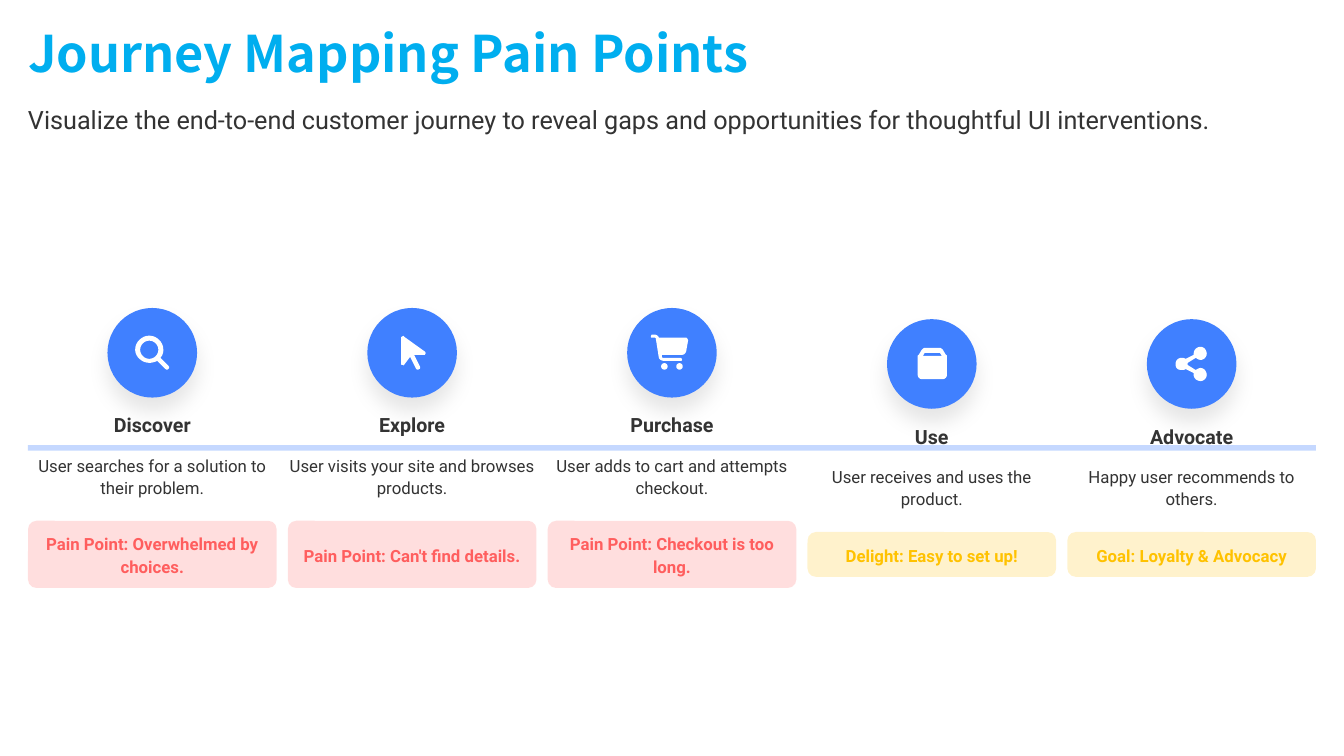
from dataclasses import dataclass

from lxml.etree import SubElement
from pptx import Presentation
from pptx.dml.color import RGBColor
from pptx.enum.shapes import MSO_SHAPE
from pptx.enum.text import MSO_ANCHOR, MSO_AUTO_SIZE, PP_ALIGN
from pptx.oxml.ns import qn
from pptx.util import Emu, Inches, Pt

WIDTH, HEIGHT = Inches(40 / 3), Inches(7.5)
CELL = WIDTH / 120
DOT = Inches(0.01)
MARGIN, BAND, GAP, STAGES = 2.5, 115, 1, 5
COLUMN = (BAND - GAP * (STAGES - 1)) / STAGES
CIRCLE = 8
BLUE, INK, RED, AMBER, WHITE = "4080FF", "333333", "FF5E5E", "FFC200", "FFFFFF"


@dataclass
class TextStyle:
    size: float
    color: str
    spacing: float
    bold: bool = False
    align: PP_ALIGN = PP_ALIGN.CENTER
    font: str = "Roboto"


@dataclass
class Stage:
    name: str
    detail: str
    note: str
    color: str
    icon: list[str]
    drop: float = 0
    note_rows: float = 6


def disc(x: float, y: float, r: float) -> str:
    k = 0.55 * r
    return (f"{x} {y - r} | {x + k} {y - r} {x + r} {y - k} {x + r} {y}"
            f" | {x + r} {y + k} {x + k} {y + r} {x} {y + r}"
            f" | {x - k} {y + r} {x - r} {y + k} {x - r} {y}"
            f" | {x - r} {y - k} {x - k} {y - r} {x} {y - r}")


MAGNIFIER = [
    "11 -3 | 11 0 10 3 8 5 | 16 13 | 17 14 17 15 16 16 | 15 17 14 17 13 16 | 5 8"
    " | 3 9 0 10 -3 10 | -10 10 -17 4 -17 -3 | -17 -11 -10 -17 -3 -17 | 4 -17 11 -11 11 -3",
    disc(-3, -3, 9),
]
POINTER = [
    "-10 -16 | -9 -17 -8 -17 -8 -16 | 13 -1 | 13 0 14 0 13 1 | 13 2 13 2 12 2 | 2 2 | 8 14"
    " | 8 15 8 16 7 16 | 6 17 5 17 4 16 | -2 4 | -8 12 | -8 12 -9 13 -9 12"
    " | -10 12 -11 12 -11 11 | -11 -15 | -11 -16 -10 -16 -10 -16",
]
CART = [
    "-20 -18 | -20 -18 -21 -17 -21 -16 | -21 -15 -20 -15 -20 -15 | -17 -15"
    " | -16 -15 -16 -14 -16 -14 | -13 5 | -12 7 -10 8 -8 8 | 9 8 | 9 8 10 8 10 7"
    " | 10 6 9 5 9 5 | -8 5 | -9 5 -10 5 -10 4 | -10 2 | 10 2 | 12 2 13 1 14 -1 | 16 -12"
    " | 16 -13 15 -15 14 -15 | -13 -15 | -13 -16 -15 -18 -17 -18",
    disc(-7.5, 13.5, 3.2),
    disc(7.5, 13.5, 3.2),
]
BOX = [
    "10 -8 | 8 -11 | -7 -11 | -9 -8",
    "-14 -7 | -14 -8 -14 -9 -13 -9 | -10 -14 | -9 -15 -8 -16 -7 -16 | 8 -16"
    " | 9 -16 10 -15 11 -14 | 14 -9 | 15 -9 15 -8 15 -7 | 15 11 | 15 13 13 15 11 15"
    " | -10 15 | -12 15 -14 13 -14 11",
]
SHARE = [
    "9 -4 | 12 -4 15 -7 15 -10 | 15 -14 12 -17 9 -17 | 5 -17 2 -14 2 -10"
    " | 2 -10 2 -10 2 -9 | -6 -5 | -7 -6 -9 -6 -10 -6 | -14 -6 -16 -3 -16 0"
    " | -16 4 -14 6 -10 6 | -9 6 -7 6 -6 5 | 2 9 | 2 10 2 10 2 11 | 2 14 5 17 9 17"
    " | 12 17 15 14 15 11 | 15 7 12 4 9 4 | 7 4 6 5 4 6 | -4 1 | -4 1 -4 0 -4 0"
    " | -4 0 -4 -1 -4 -1 | 4 -6 | 6 -5 7 -4 9 -4",
]

JOURNEY = [
    Stage("Discover", "User searches for a solution to their problem.",
          "Pain Point: Overwhelmed by choices.", RED, MAGNIFIER),
    Stage("Explore", "User visits your site and browses products.",
          "Pain Point: Can't find details.", RED, POINTER),
    Stage("Purchase", "User adds to cart and attempts checkout.",
          "Pain Point: Checkout is too long.", RED, CART),
    Stage("Use", "User receives and uses the product.",
          "Delight: Easy to set up!", AMBER, BOX, 1, 4),
    Stage("Advocate", "Happy user recommends to others.",
          "Goal: Loyalty & Advocacy", AMBER, SHARE, 1, 4),
]

TITLE = TextStyle(36, "00AEEF", 0.9, True, PP_ALIGN.LEFT, "Noto Sans CJK SC")
SUBTITLE = TextStyle(18, INK, 1.3, align=PP_ALIGN.LEFT)
NAME = TextStyle(14, INK, 1.2, True)
DETAIL = TextStyle(12, INK, 1.1)


def grid(*cells: float) -> list[Emu]:
    return [Emu(round(c * CELL)) for c in cells]


def paint(shape, color: str, alpha: int = 100) -> None:
    shape.shadow.inherit = False
    shape.fill.solid()
    shape.fill.fore_color.rgb = RGBColor.from_string(color)
    shape.line.fill.background()
    if alpha < 100:
        clr = shape.fill._xPr.find(qn("a:solidFill"))[0]
        SubElement(clr, qn("a:alpha"), val=str(alpha * 1000))


def add_glow(shape) -> None:
    effects = shape._element.spPr.find(qn("a:effectLst"))
    shadow = SubElement(effects, qn("a:outerShdw"), blurRad=str(Pt(15)), dist=str(Pt(10)),
                        dir="5400000", algn="ctr", rotWithShape="0")
    clr = SubElement(shadow, qn("a:srgbClr"), val="000000")
    SubElement(clr, qn("a:alpha"), val="10000")


def write(shape, text: str, style: TextStyle, inset: float = 0) -> None:
    tf = shape.text_frame
    tf.text = text
    tf.word_wrap = True
    tf.auto_size = MSO_AUTO_SIZE.NONE
    tf.vertical_anchor = MSO_ANCHOR.MIDDLE
    tf.margin_left = tf.margin_right = grid(inset)[0]
    tf.margin_top = tf.margin_bottom = 0
    p = tf.paragraphs[0]
    p.alignment = style.align
    p.line_spacing = style.spacing
    p.space_before = Pt(0)
    font = p.runs[0].font
    font.name, font.size, font.bold = style.font, Pt(style.size), style.bold
    font.color.rgb = RGBColor.from_string(style.color)


def trace(outline: str, cx: float, cy: float) -> list[tuple[float, float]]:
    pts = []
    for segment in outline.split("|"):
        n = [float(v) for v in segment.split()]
        if len(n) == 2:
            pts.append((n[0], n[1]))
            continue
        ctrl = [pts[-1], *zip(n[::2], n[1::2])]
        for t in (i / 8 for i in range(1, 9)):
            w = ((1 - t) ** 3, 3 * t * (1 - t) ** 2, 3 * t * t * (1 - t), t ** 3)
            pts.append(tuple(sum(a * c[d] for a, c in zip(w, ctrl)) for d in (0, 1)))
    return [(cx * CELL + x * DOT, cy * CELL + y * DOT) for x, y in pts]


def add_icon(s, outlines: list[str], cx: float, cy: float) -> None:
    first, *others = [trace(o, cx, cy) for o in outlines]
    fb = s.shapes.build_freeform(*first[0])
    fb.add_line_segments(first[1:], close=True)
    for pts in others:
        fb.move_to(*pts[0])
        fb.add_line_segments(pts[1:], close=True)
    paint(fb.convert_to_shape(), WHITE)


def add_stage(s, stage: Stage, x: float) -> None:
    mid, top = x + COLUMN / 2, 27.5 + stage.drop
    circle = s.shapes.add_shape(MSO_SHAPE.OVAL, *grid(mid - CIRCLE / 2, top, CIRCLE, CIRCLE))
    paint(circle, BLUE)
    add_glow(circle)
    add_icon(s, stage.icon, mid, top + CIRCLE / 2)
    write(s.shapes.add_textbox(*grid(x, top + 9, COLUMN, 2.5)), stage.name, NAME)
    write(s.shapes.add_textbox(*grid(x, top + 12, COLUMN, 6)), stage.detail, DETAIL)
    note = s.shapes.add_shape(MSO_SHAPE.ROUNDED_RECTANGLE,
                              *grid(x, top + 19, COLUMN, stage.note_rows))
    note.adjustments[0] = 0.75 / stage.note_rows
    paint(note, stage.color, 20)
    write(note, stage.note, TextStyle(12, stage.color, 1.1, True), 1)


def main() -> None:
    prs = Presentation()
    prs.slide_width, prs.slide_height = WIDTH, HEIGHT
    s = prs.slides.add_slide(prs.slide_layouts[5])
    title = s.shapes.title
    title.left, title.top, title.width, title.height = grid(MARGIN, 2.5, 117.5, 5)
    write(title, "Journey Mapping Pain Points", TITLE)
    write(s.shapes.add_textbox(*grid(MARGIN, 8.5, 117, 3.5)),
          "Visualize the end-to-end customer journey to reveal gaps and opportunities"
          " for thoughtful UI interventions.", SUBTITLE)
    bar = s.shapes.add_shape(MSO_SHAPE.RECTANGLE, *grid(MARGIN, 39.75, BAND, 0.5))
    paint(bar, BLUE, 30)
    for i, stage in enumerate(JOURNEY):
        add_stage(s, stage, MARGIN + i * (COLUMN + GAP))
    prs.save("out.pptx")


if __name__ == "__main__":
    main()
